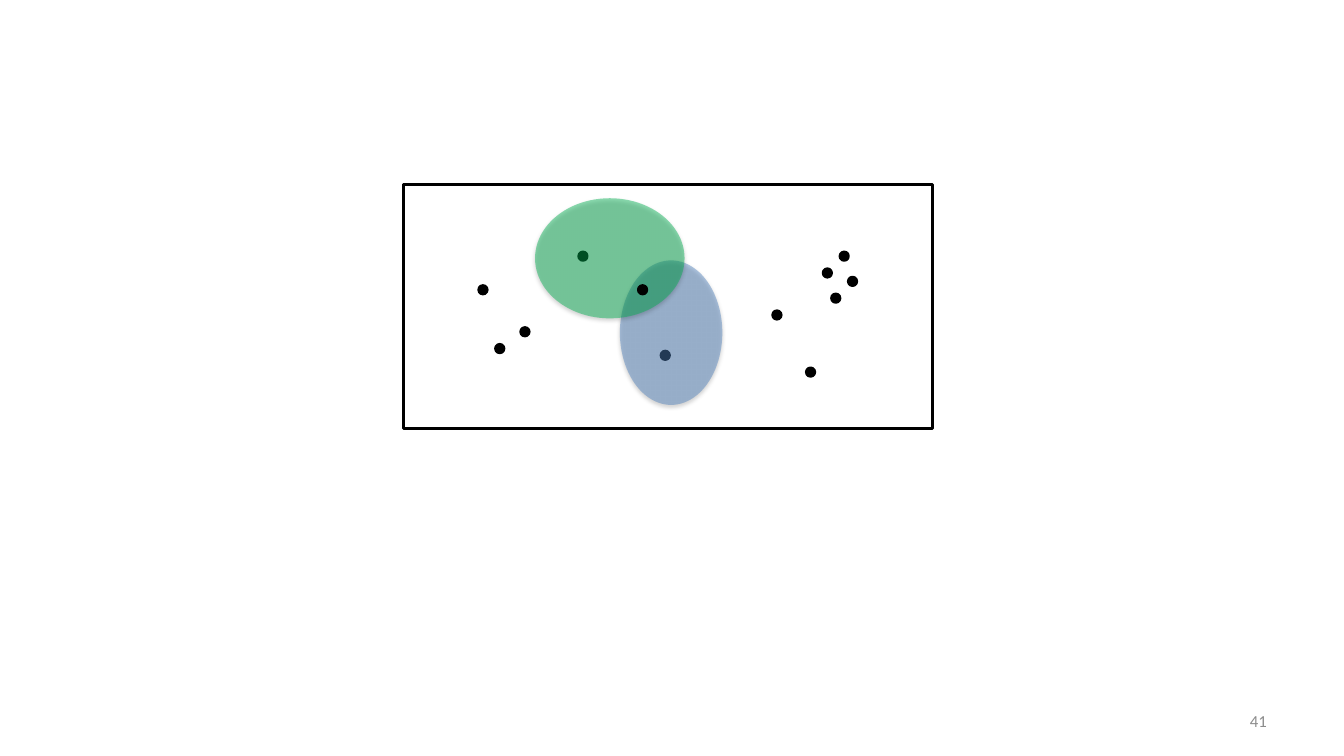
"""Draw two overlapping sets of points inside a framed sample space."""
from typing import NamedTuple, Optional

from lxml import etree
from pptx import Presentation
from pptx import util as u
from pptx.dml.color import RGBColor
from pptx.enum import shapes, text
from pptx.oxml import ns

BLACK = RGBColor(0x00, 0x00, 0x00)
WHITE = RGBColor(0xFF, 0xFF, 0xFF)
BLUE = RGBColor(0x4F, 0x81, 0xBD)
GREEN = RGBColor(0x00, 0xB0, 0x50)
GRAY = RGBColor(0x8C, 0x8C, 0x8C)

CELL = u.Inches(1 / 12)
COLUMNS, ROWS = 160, 90


class Figure(NamedTuple):
    """A filled shape measured in grid columns and rows."""
    column: float
    row: float
    width: float
    height: float
    fill: RGBColor
    outline: Optional[RGBColor] = None
    opacity: int = 100
    kind: shapes.MSO_SHAPE = shapes.MSO_SHAPE.OVAL


def dot(column: float, row: float) -> Figure:
    """Return a one-cell black point."""
    return Figure(column, row, 1, 1, BLACK, BLACK)


SAMPLE_SPACE = Figure(48, 22, 63, 29, WHITE, BLACK, kind=shapes.MSO_SHAPE.RECTANGLE)
COVERED_DOTS = [(57, 34), (59, 41), (62, 39), (68.9, 30), (78.7, 41.8)]
SETS = [
    Figure(73.8, 31, 12.2, 17.2, BLUE, opacity=45),
    Figure(63.7, 23.6, 17.8, 14.3, GREEN, opacity=45),
]
TOP_DOTS = [(76, 34), (96, 43.8), (98, 32), (92, 37), (99, 35), (101, 33), (100, 30)]


def cells(*lengths: float) -> list[int]:
    """Convert grid lengths to slide units."""
    return [round(length * CELL) for length in lengths]


def add_alpha(color, percent: int) -> None:
    """Give a colour element an opacity."""
    etree.SubElement(color, ns.qn("a:alpha"), val=str(percent * 1000))


def add_shadow(shape) -> None:
    """Put a soft shadow just below a shape."""
    effects = shape.element.spPr.find(ns.qn("a:effectLst"))
    shadow = etree.SubElement(
        effects, ns.qn("a:outerShdw"), blurRad=str(u.Pt(3.1)),
        dist=str(u.Pt(1.6)), dir="5400000", rotWithShape="0")
    add_alpha(etree.SubElement(shadow, ns.qn("a:srgbClr"), val=str(BLACK)), 38)


def draw_figure(slide, figure: Figure) -> None:
    """Draw one figure with its fill, outline and shadow."""
    shape = slide.shapes.add_shape(figure.kind, *cells(*figure[:4]))
    shape.shadow.inherit = False
    shape.fill.solid()
    shape.fill.fore_color.rgb = figure.fill
    if figure.outline is None:
        shape.line.fill.background()
    else:
        shape.line.color.rgb = figure.outline
        shape.line.width = u.Pt(2)
    if figure.opacity < 100:
        color = shape.element.spPr.find(ns.qn("a:solidFill")).find(ns.qn("a:srgbClr"))
        add_alpha(color, figure.opacity)
        add_shadow(shape)


def draw_page_number(slide, number: str) -> None:
    """Write the page number at the lower right."""
    box = slide.shapes.add_textbox(*cells(114.7, 83.4, 37.3, 4.8))
    frame = box.text_frame
    frame.word_wrap = True
    frame.vertical_anchor = text.MSO_ANCHOR.MIDDLE
    paragraph = frame.paragraphs[0]
    paragraph.alignment = text.PP_ALIGN.RIGHT
    run = paragraph.add_run()
    run.text = number
    run.font.name = "Calibri"
    run.font.size = u.Pt(12)
    run.font.color.rgb = GRAY


def main() -> None:
    """Build and save the slide."""
    presentation = Presentation()
    presentation.slide_width, presentation.slide_height = cells(COLUMNS, ROWS)
    slide = presentation.slides.add_slide(presentation.slide_layouts[6])
    draw_page_number(slide, "41")
    covered = [dot(*place) for place in COVERED_DOTS]
    on_top = [dot(*place) for place in TOP_DOTS]
    for figure in [SAMPLE_SPACE, *covered, *SETS, *on_top]:
        draw_figure(slide, figure)
    presentation.save("out.pptx")


if __name__ == "__main__":
    main()
